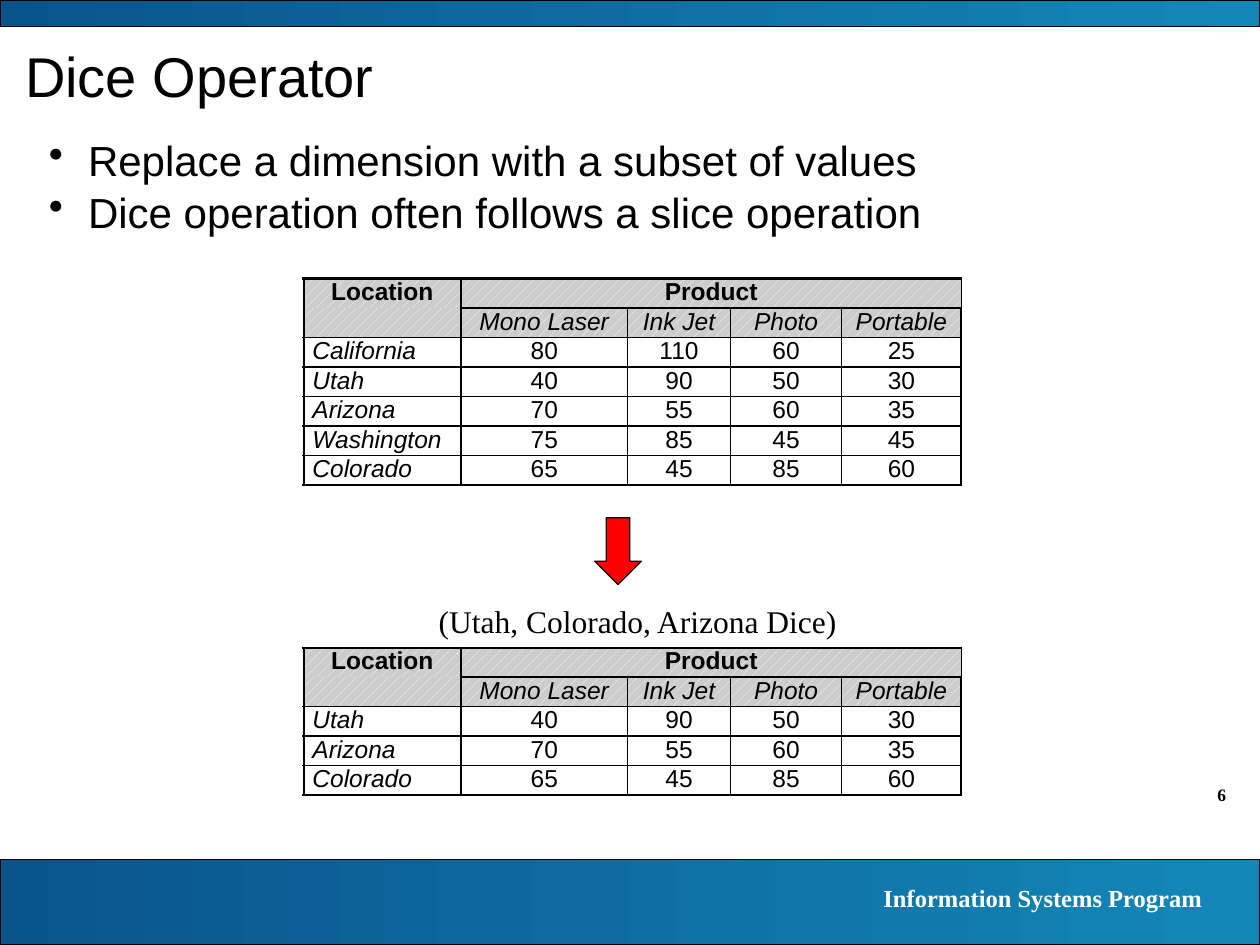
"""Build the Dice Operator slide with the tables before and after the dice."""
from lxml import etree
from pptx import Presentation
from pptx.dml.color import RGBColor
from pptx.enum import dml, shapes, text
from pptx.oxml import ns
from pptx.util import Inches, Pt


def color(value):
    return RGBColor.from_string(value)


def write(frame, content, font, size, ink="000000", bold=False, italic=False,
          align=text.PP_ALIGN.LEFT):
    frame.text = content
    for paragraph in frame.paragraphs:
        paragraph.alignment = align
        paragraph.font.name = font
        paragraph.font.size = Pt(size)
        paragraph.font.bold = bold
        paragraph.font.italic = italic
        paragraph.font.color.rgb = color(ink)


presentation = Presentation()
presentation.slide_width, presentation.slide_height = Inches(10), Inches(7.5)
slide = presentation.slides.add_slide(presentation.slide_layouts[6])
center, right = text.PP_ALIGN.CENTER, text.PP_ALIGN.RIGHT

for top, height in [(6.82, 0.68), (0, 0.21)]:
    band = slide.shapes.add_shape(shapes.MSO_SHAPE.RECTANGLE, 0, Inches(top), Inches(10), Inches(height))
    band.shadow.inherit = False
    band.fill.gradient()
    band.fill.gradient_angle = 0
    for stop, shade in zip(band.fill.gradient_stops, ["0A548C", "1387B8"]):
        stop.color.rgb = color(shade)
    band.line.color.rgb = color("000000")
    band.line.width = Pt(0.75)

bullets = "Replace a dimension with a subset of values\nDice operation often follows a slice operation"
for box, content, style in [
    ((9, 6.17, 0.83, 0.27), "6", dict(font="Times New Roman", size=10, bold=True, align=right)),
    ((5.55, 6.96, 4.09, 0.34), "Information Systems Program",
     dict(font="Times New Roman", size=14, ink="FFFFFF", bold=True, align=right)),
    ((0.1, 0.28, 8.75, 0.62), "Dice Operator", dict(font="Arial", size=32)),
    ((0.29, 1, 7.25, 0.91), bullets, dict(font="Arial", size=24)),
]:
    textbox = slide.shapes.add_textbox(*map(Inches, box))
    textbox.text_frame.word_wrap = True
    write(textbox.text_frame, content, **style)

for paragraph in textbox.text_frame.paragraphs:
    paragraph.line_spacing = 1.04
    properties = paragraph._p.get_or_add_pPr()
    properties.set("marL", str(Inches(0.31)))
    properties.set("indent", str(Inches(-0.31)))
    bullet = etree.Element(ns.qn("a:buChar"), char="•")
    properties.find(ns.qn("a:defRPr")).addprevious(bullet)

caption = slide.shapes.add_shape(
    shapes.MSO_SHAPE.RECTANGLE, Inches(2.52), Inches(4.73), Inches(5.02), Inches(0.4))
caption.shadow.inherit = False
caption.fill.solid()
caption.fill.fore_color.rgb = color("FFFFFF")
caption.line.fill.background()
caption.text_frame.vertical_anchor = text.MSO_ANCHOR.MIDDLE
write(caption.text_frame, " (Utah, Colorado, Arizona Dice)", "Times New Roman", 18, align=center)

arrow = slide.shapes.add_shape(
    shapes.MSO_SHAPE.DOWN_ARROW, Inches(4.72), Inches(4.11), Inches(0.37), Inches(0.53))
arrow.shadow.inherit = False
arrow.fill.solid()
arrow.fill.fore_color.rgb = color("FF0000")
arrow.line.color.rgb = color("000000")
arrow.line.width = Pt(0.75)

sales = {
    "California": [80, 110, 60, 25],
    "Utah": [40, 90, 50, 30],
    "Arizona": [70, 55, 60, 35],
    "Washington": [75, 85, 45, 45],
    "Colorado": [65, 45, 85, 60],
}
header = [["Location", "Product", "", "", ""], ["", "Mono Laser", "Ink Jet", "Photo", "Portable"]]
widths = [1.25, 1.32, 0.82, 0.88, 0.95]

for top, height, locations in [(2.21, 1.64, list(sales)), (5.14, 1.17, ["Utah", "Arizona", "Colorado"])]:
    rows = header + [[location, *sales[location]] for location in locations]
    last_row, last_column = len(rows) - 1, len(widths) - 1
    table = slide.shapes.add_table(
        len(rows), len(widths), Inches(2.41), Inches(top), Inches(sum(widths)), Inches(height)).table
    table.first_row = table.horz_banding = False
    for column, width in zip(table.columns, widths):
        column.width = Inches(width)
    table.cell(0, 1).merge(table.cell(0, last_column))
    for r, values in enumerate(rows):
        for c, value in enumerate(values):
            cell = table.cell(r, c)
            cell.margin_left = cell.margin_right = Inches(0.07)
            cell.margin_top = cell.margin_bottom = 0
            is_header = r < len(header)
            write(cell.text_frame, str(value), "Arial", 14, bold=r == 0,
                  italic=r == 1 or (c == 0 and not is_header),
                  align=center if is_header or c else text.PP_ALIGN.LEFT)
            if value == "":
                etree.SubElement(cell.text_frame.paragraphs[0]._p, ns.qn("a:endParaRPr"), sz="1400")
            if is_header:
                cell.fill.patterned()
                cell.fill.pattern = dml.MSO_PATTERN.PERCENT_20
                cell.fill.fore_color.rgb = color("FFFFFF")
                cell.fill.back_color.rgb = color("CCCCCC")
            else:
                cell.fill.background()
            edges = {"L": c == 0, "R": c == last_column, "T": r == 0, "B": r == last_row}
            for position, (side, is_outer) in enumerate(edges.items()):
                line = etree.Element(ns.qn(f"a:ln{side}"), w=str(Pt(1.5 if is_outer else 1)))
                if (r, c, side) in [(0, 0, "B"), (1, 0, "T")]:
                    etree.SubElement(line, ns.qn("a:noFill"))
                else:
                    solid = etree.SubElement(line, ns.qn("a:solidFill"))
                    etree.SubElement(solid, ns.qn("a:srgbClr"), val="000000")
                cell._tc.get_or_add_tcPr().insert(position, line)

presentation.save("out.pptx")
